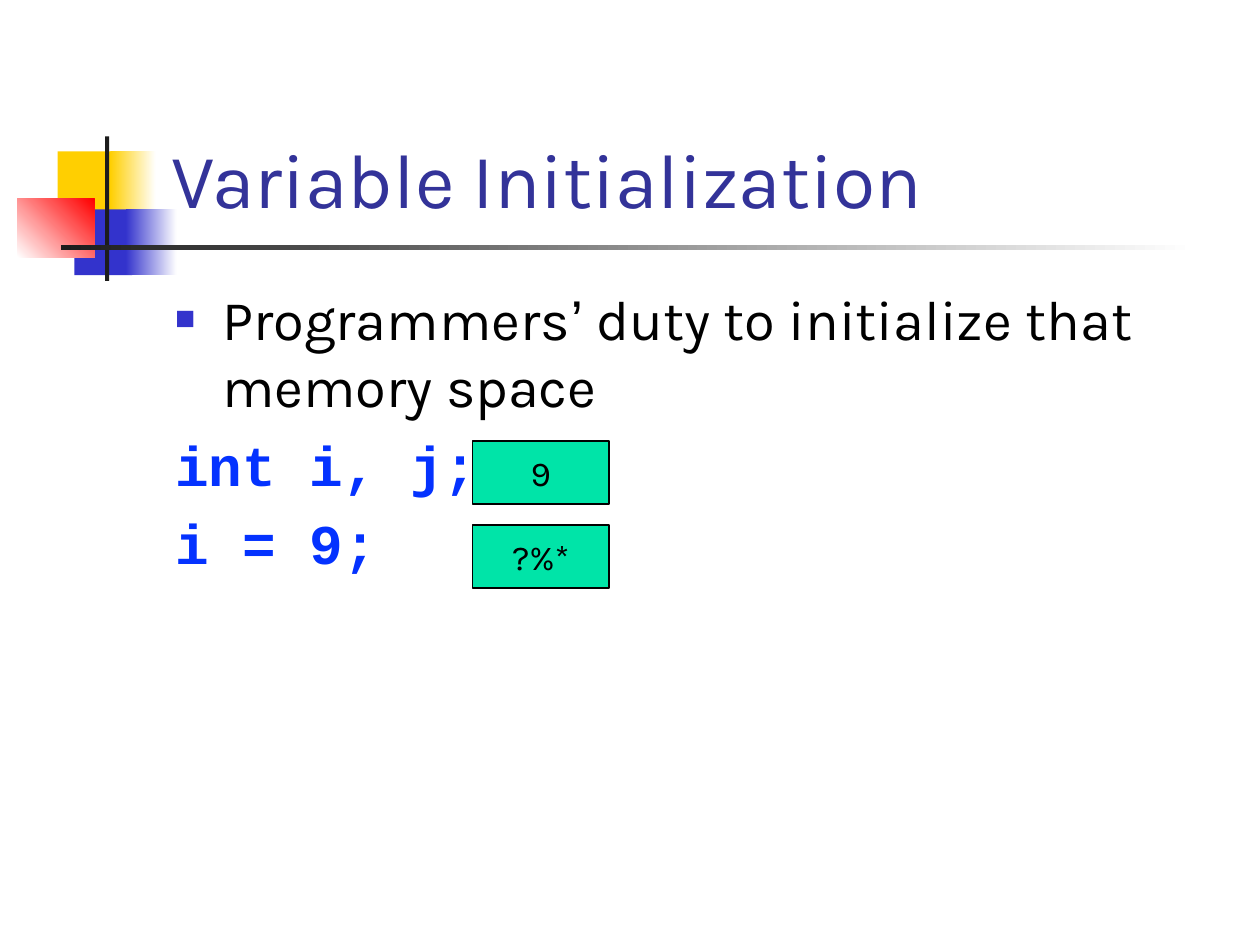
"""Build the Variable Initialization slide."""
import pptx
import pptx.util
import pptx.dml.color
import pptx.enum.shapes
import pptx.enum.text
import pptx.oxml
import pptx.oxml.ns

Pt = pptx.util.Pt
HUES = {
    "gold": "FFCF01", "blue": "3333CC", "red": "FF0000", "white": "FFFFFF",
    "dark": "1C1C1C", "title": "333399", "black": "000000",
    "code": "0432FF", "mint": "00E4A8",
}


def hue(name):
    return pptx.dml.color.RGBColor.from_string(HUES[name])


def bar(slide, box, fill, end=None, angle=0, line=None):
    rect = slide.shapes.add_shape(
        pptx.enum.shapes.MSO_SHAPE.RECTANGLE, *map(Pt, box))
    rect.shadow.inherit = False
    if end:
        rect.fill.gradient()
        rect.fill.gradient_angle = angle
        for stop, name in zip(rect.fill.gradient_stops, (fill, end)):
            stop.color.rgb = hue(name)
    else:
        rect.fill.solid()
        rect.fill.fore_color.rgb = hue(fill)
    if line:
        rect.line.color.rgb = hue(line)
        rect.line.width = Pt(0.75)
    else:
        rect.line.fill.background()
    return rect


def write(para, text, size=32, font="Karla", color="black", bold=False):
    run = para.add_run()
    run.text = text
    run.font.size = Pt(size)
    run.font.name = font
    run.font.bold = bold
    run.font.color.rgb = hue(color)


def area(slide, box, anchor):
    frame = slide.shapes.add_textbox(*map(Pt, box)).text_frame
    frame.word_wrap = True
    frame.vertical_anchor = anchor
    return frame


def hang(para, bullet=False):
    props = para._p.get_or_add_pPr()
    props.set("marL", str(Pt(27)))
    props.set("indent", str(Pt(-27)))
    parts = ['<a:spcBef {}><a:spcPct val="20000"/></a:spcBef>']
    if bullet:
        parts += [
            '<a:buClr {}><a:srgbClr val="' + HUES["blue"] + '"/></a:buClr>',
            '<a:buSzPct {} val="60000"/>',
            '<a:buFont {} typeface="Arial"/>',
            '<a:buChar {} char="■"/>',
        ]
    space = pptx.oxml.ns.nsdecls("a")
    for part in parts:
        props.append(pptx.oxml.parse_xml(part.format(space)))


def decor(slide):
    bar(slide, (33, 86.5, 35, 37.5), "gold")
    bar(slide, (63, 86.5, 26, 37.5), "gold", "white")
    bar(slide, (42.5, 119.7, 33, 37.5), "blue")
    bar(slide, (72, 119.7, 29, 37.5), "blue", "white")
    bar(slide, (10, 113.7, 44, 33.3), "white", "red", angle=45)
    bar(slide, (60, 78, 2.4, 82.5), "dark")
    bar(slide, (34.8, 140.2, 648, 2.4), "dark", "white")


def body(slide):
    frame = area(slide, (93, 159, 612, 324), pptx.enum.text.MSO_ANCHOR.TOP)
    para = frame.paragraphs[0]
    hang(para, bullet=True)
    write(para, "Programmers")
    write(para, "’", font="Arial")
    write(para, " duty to initialize that memory space")
    for code in ("int i, j;", "i = 9;"):
        para = frame.add_paragraph()
        hang(para)
        write(para, code, font="Courier New", color="code", bold=True)


def cell(slide, top, text):
    rect = bar(slide, (270, top, 78, 36), "mint", line="black")
    frame = rect.text_frame
    frame.word_wrap = False
    frame.vertical_anchor = pptx.enum.text.MSO_ANCHOR.MIDDLE
    para = frame.paragraphs[0]
    para.alignment = pptx.enum.text.PP_ALIGN.CENTER
    write(para, text, size=20)


def main():
    deck = pptx.Presentation()
    deck.slide_width, deck.slide_height = Pt(720), Pt(540)
    slide = deck.slides.add_slide(deck.slide_layouts[6])
    decor(slide)
    head = area(slide, (91, 16.5, 613.5, 115), pptx.enum.text.MSO_ANCHOR.BOTTOM)
    write(head.paragraphs[0], "Variable Initialization", size=44, color="title")
    body(slide)
    for row, text in enumerate(("9", "?%*")):
        cell(slide, 252 + 48 * row, text)
    deck.save("out.pptx")


if __name__ == "__main__":
    main()
